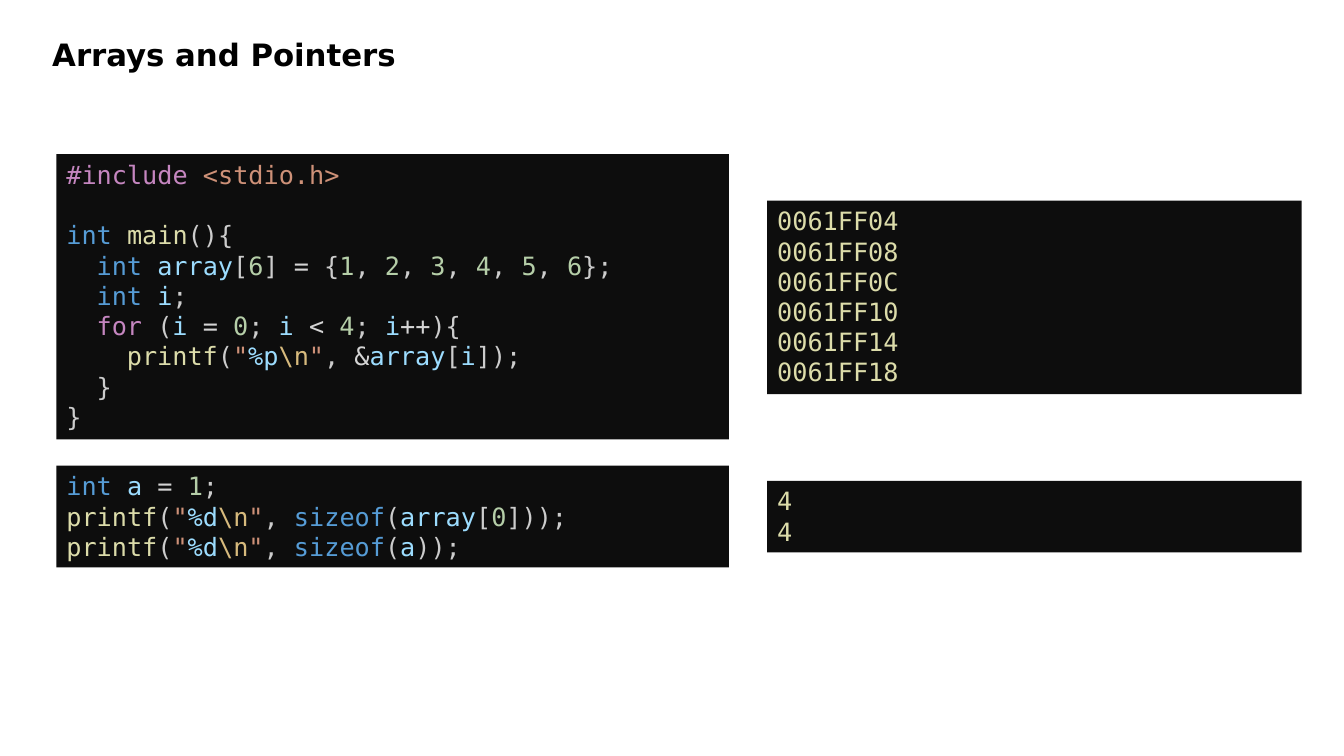
from pptx import Presentation
from pptx.dml.color import RGBColor
from pptx.enum import shapes, text
from pptx.util import Inches, Pt

BLACK = RGBColor(0x00, 0x00, 0x00)
PANEL = RGBColor(0x0D, 0x0D, 0x0D)
PLAIN = RGBColor(0xCC, 0xCC, 0xCC)
SIGN = RGBColor(0xD4, 0xD4, 0xD4)
FLOW = RGBColor(0xC5, 0x86, 0xC0)
QUOTE = RGBColor(0xCE, 0x91, 0x78)
TYPE = RGBColor(0x56, 0x9C, 0xD6)
CALL = RGBColor(0xDC, 0xDC, 0xAA)
NAME = RGBColor(0x9C, 0xDC, 0xFE)
DIGIT = RGBColor(0xB5, 0xCE, 0xA8)
SLASH = RGBColor(0xD7, 0xBA, 0x7D)

GROUPS = {
    FLOW: ("#include", "for"),
    QUOTE: ("<stdio.h>", '"'),
    TYPE: ("int", "sizeof"),
    CALL: ("main", "printf"),
    NAME: ("array", "i", "a", "%p", "%d"),
    SIGN: ("=", "<", "++", "&"),
    SLASH: (r"\n",),
    DIGIT: tuple("0123456"),
}
COLORS = {word: color for color, words in GROUPS.items() for word in words}

LEFT, RIGHT = (0.56, 6.67), (7.61, 5.3)
PITCH = Pt(21.6)

INCLUDE = ["#include |<stdio.h>"]
MAIN = [
    "int |main|(){",
    "  int |array|[|6|] |=| {|1|, |2|, |3|, |4|, |5|, |6|};",
    "  int |i|;",
    "  for| (|i |= |0|; |i |< |4|; |i|++|){",
    r'    printf|(|"|%p|\n|"|, |&|array|[|i|]);',
    "  }",
    "}",
]
SIZES = [
    "int |a |= |1|;",
    r'printf|(|"|%d|\n|"|, |sizeof|(|array|[|0|]));',
    r'printf|(|"|%d|\n|"|, |sizeof|(|a|));',
]
ADDRESSES = [f"0061FF{end}" for end in ("04", "08", "0C", "10", "14", "18")]


class Deck:
    head = "DejaVu Sans"
    mono = "DejaVu Sans Mono"

    def __init__(self):
        self.prs = Presentation()
        self.prs.slide_width = Inches(13.33)
        self.prs.slide_height = Inches(7.5)
        self.slide = self.prs.slides.add_slide(self.prs.slide_layouts[6])

    def title(self, words):
        box = self.slide.shapes.add_textbox(
            Inches(0.42), Inches(0), Inches(12.57), Inches(0.77))
        frame = box.text_frame
        frame.word_wrap = True
        frame.vertical_anchor = text.MSO_ANCHOR.BOTTOM
        para = frame.paragraphs[0]
        para.text = words
        font = para.font
        font.name, font.size, font.bold = self.head, Pt(22), True
        font.color.rgb = BLACK

    def panel(self, column, top, height):
        left, width = column
        box = self.slide.shapes.add_shape(
            shapes.MSO_SHAPE.RECTANGLE, Inches(left), Inches(top),
            Inches(width), Inches(height))
        box.shadow.inherit = False
        box.fill.solid()
        box.fill.fore_color.rgb = PANEL
        box.line.fill.background()
        frame = box.text_frame
        frame.word_wrap = True
        frame.vertical_anchor = text.MSO_ANCHOR.TOP
        return frame

    def line(self, frame, first):
        para = frame.paragraphs[0] if first else frame.add_paragraph()
        para.alignment = text.PP_ALIGN.LEFT
        para.line_spacing = PITCH
        para.font.name, para.font.size = self.mono, Pt(18)
        return para

    def code(self, column, top, height, *blocks):
        frame = self.panel(column, top, height)
        for b, block in enumerate(blocks):
            for n, row in enumerate(block):
                para = self.line(frame, b == n == 0)
                if b and n == 0:
                    para.space_before = PITCH
                body = row.lstrip()
                indent = Inches(0.15 * (len(row) - len(body)))
                para._p.get_or_add_pPr().set("marL", str(indent))
                for token in body.split("|"):
                    run = para.add_run()
                    run.text = token
                    run.font.color.rgb = COLORS.get(token.strip(), PLAIN)

    def output(self, column, top, height, rows):
        frame = self.panel(column, top, height)
        for n, row in enumerate(rows):
            para = self.line(frame, n == 0)
            para.text = row
            para.font.color.rgb = CALL


def main():
    deck = Deck()
    deck.title("Arrays and Pointers")
    deck.code(LEFT, 1.53, 2.83, INCLUDE, MAIN)
    deck.output(RIGHT, 1.99, 1.92, ADDRESSES)
    deck.code(LEFT, 4.62, 1.01, SIZES)
    deck.output(RIGHT, 4.77, 0.71, ["4", "4"])
    deck.prs.save("out.pptx")


if __name__ == "__main__":
    main()
